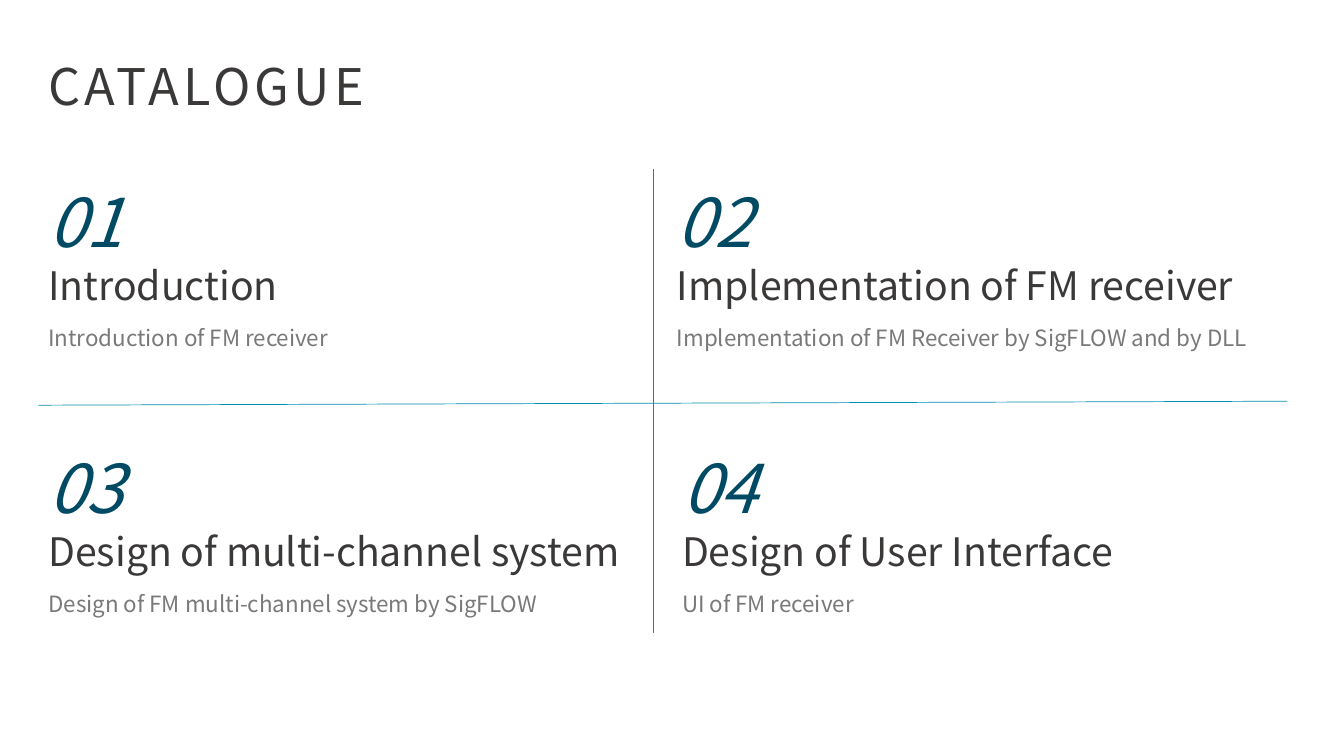
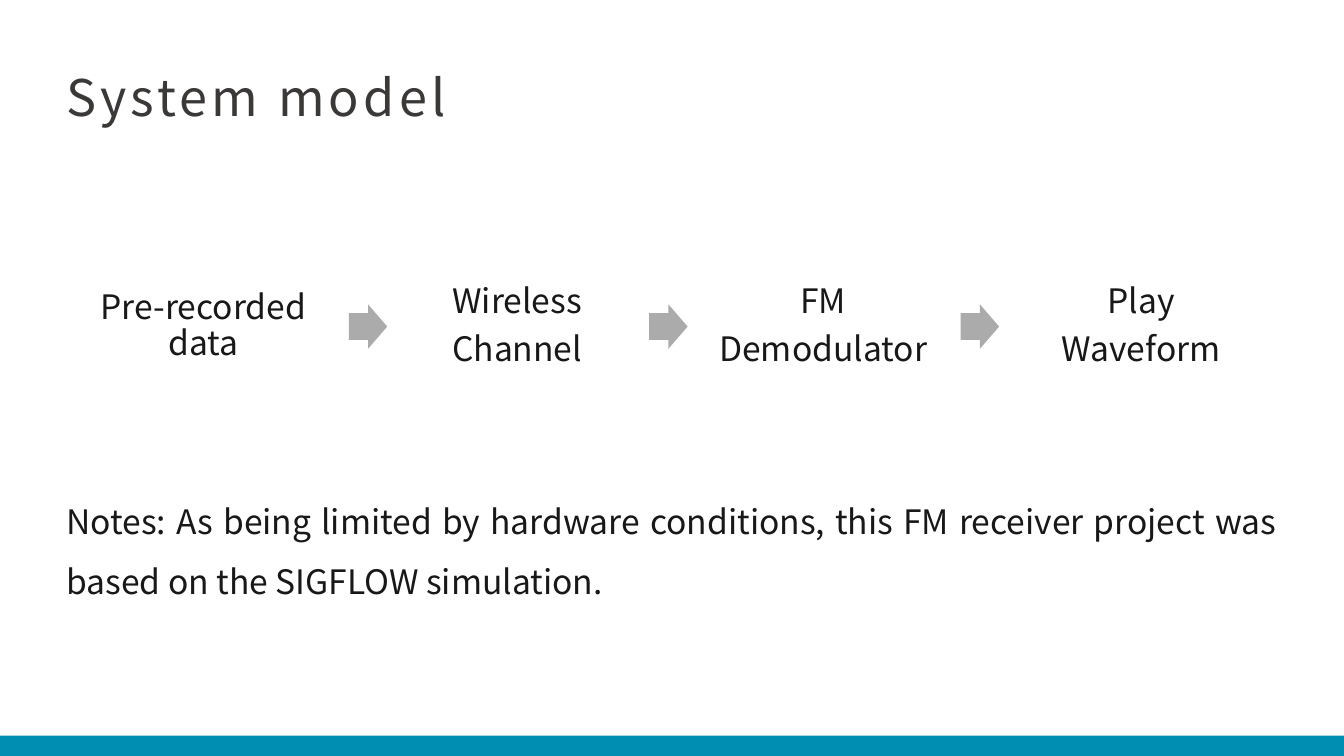
import dataclasses

import pptx
import pptx.dml.color
import pptx.enum.shapes
import pptx.enum.text
import pptx.util
import lxml.etree

Cm, Pt = pptx.util.Cm, pptx.util.Pt
Rgb = pptx.dml.color.RGBColor.from_string
Align = pptx.enum.text.PP_ALIGN
Kind = pptx.enum.shapes.MSO_SHAPE


@dataclasses.dataclass(frozen=True)
class Theme:
    font: str = "Noto Sans CJK SC"
    white: str = "FFFFFF"
    teal: str = "008FB2"
    deep: str = "004A63"
    bright: str = "0090B2"
    head: str = "3B3838"
    body: str = "181818"
    muted: str = "797979"
    arrow: str = "ABABAB"
    title: int = 36
    digit: int = 48
    topic: int = 28
    text: int = 24
    small: int = 16


look = Theme()


def write(frame, text, size, color, fade=None, italic=False, align=None,
          line=None, after=None, track=None):
    """Add one paragraph per line of text to a text frame."""
    frame.word_wrap = True
    for row in text.split("\n"):
        para = frame.paragraphs[0] if not frame.text else frame.add_paragraph()
        para.alignment, para.line_spacing = align, line
        if after:
            para.space_after = Pt(after)
        run = para.add_run()
        run.text = row
        font = run.font
        font.name, font.size, font.italic = look.font, Pt(size), italic
        if fade:
            font.fill.gradient()
            font.fill.gradient_angle = 0
            stops = font.fill.gradient_stops
            for stop, tint, place in zip(stops, (color, fade), (0.03, 1)):
                stop.color.rgb, stop.position = Rgb(tint), place
        else:
            font.color.rgb = Rgb(color)
        if track:
            run._r.get_or_add_rPr().set("spc", str(track * 100))


def draw(slide, kind, x, y, w, h, fill):
    """Add a plain filled shape, measured in centimetres."""
    shape = slide.shapes.add_shape(kind, Cm(x), Cm(y), Cm(w), Cm(h))
    shape.shadow.inherit = False
    shape.fill.solid()
    shape.fill.fore_color.rgb = Rgb(fill)
    shape.line.fill.background()
    return shape


deck = pptx.Presentation()
deck.slide_width, deck.slide_height = Cm(33.87), Cm(19.05)

# Slides with their titles
slides = []
for title, x, y in (("CATALOGUE", 0.97, 1.27), ("System model", 1.42, 1.53)):
    slide = deck.slides.add_slide(deck.slide_layouts[6])
    box = slide.shapes.add_textbox(Cm(x), Cm(y), Cm(11), Cm(1.8))
    write(box.text_frame, title, look.title, look.head, after=3, track=3)
    slides.append(slide)
menu, model = slides

# Catalogue: four topics in a two by two grid
topics = (
    (0.97, "Introduction", "Introduction of FM receiver"),
    (16.81, "Implementation of FM receiver",
     "Implementation of FM Receiver by SigFLOW and by DLL"),
    (0.97, "Design of multi-channel system",
     "Design of FM multi-channel system by SigFLOW"),
    (16.94, "Design of User Interface", "UI of FM receiver"),
)
for i, (x, topic, detail) in enumerate(topics):
    y = 4.42 + i // 2 * 6.7
    box = menu.shapes.add_textbox(Cm(x), Cm(y), Cm(15.5), Cm(3.5))
    write(box.text_frame, f"{i + 1:02}", look.digit, look.deep,
          fade=look.bright, italic=True)
    write(box.text_frame, topic, look.topic, look.head)
    box = menu.shapes.add_textbox(Cm(x), Cm(y + 3.62), Cm(15.6), Cm(0.94))
    write(box.text_frame, detail, look.small, look.muted)

# Catalogue: crossing rules
for ends in ((0.97, 10.21, 32.44, 10.11), (16.46, 4.27, 16.46, 15.95)):
    rule = menu.shapes.add_connector(
        pptx.enum.shapes.MSO_CONNECTOR.STRAIGHT, *map(Cm, ends))
    rule.line.color.rgb = Rgb(look.teal)
    rule.line.width = Pt(0.5)
    lxml.etree.SubElement(rule._element.spPr, pptx.oxml.ns.qn("a:effectLst"))

# System model: footer band
draw(model, Kind.RECTANGLE, 0, 18.54, 33.87, 0.51, look.teal)

# System model: chain of steps joined by block arrows
steps = (("Pre-recorded data", 6.45), ("Wireless\nChannel", 5.77),
         ("FM\nDemodulator", 6.05), ("Play\nWaveform", 6.38))
x, gap = 1.9, 1.8
for i, (step, wide) in enumerate(steps):
    if i:
        arrow = draw(model, Kind.RIGHT_ARROW, x - gap + 0.44, 7.67, 0.97, 1.12,
                     look.arrow)
        arrow.adjustments[0], arrow.adjustments[1] = 0.6, 0.5
    node = draw(model, Kind.ROUNDED_RECTANGLE, x, 6.35, wide, 3.77, look.white)
    node.adjustments[0] = 0.1
    frame = node.text_frame
    frame.vertical_anchor = pptx.enum.text.MSO_ANCHOR.MIDDLE
    frame.margin_left = frame.margin_right = Cm(0.2)
    frame.margin_top = frame.margin_bottom = Cm(0.2)
    write(frame, step, look.text, look.body, align=Align.CENTER, line=0.9,
          after=8.4)
    x += wide + gap

# System model: note
box = model.shapes.add_textbox(Cm(1.42), Cm(11.99), Cm(31), Cm(3.15))
write(box.text_frame,
      "Notes: As being limited by hardware conditions, this FM receiver "
      "project was based on the SIGFLOW simulation.",
      look.text, look.body, align=Align.JUSTIFY, line=1.5)

deck.save("out.pptx")
